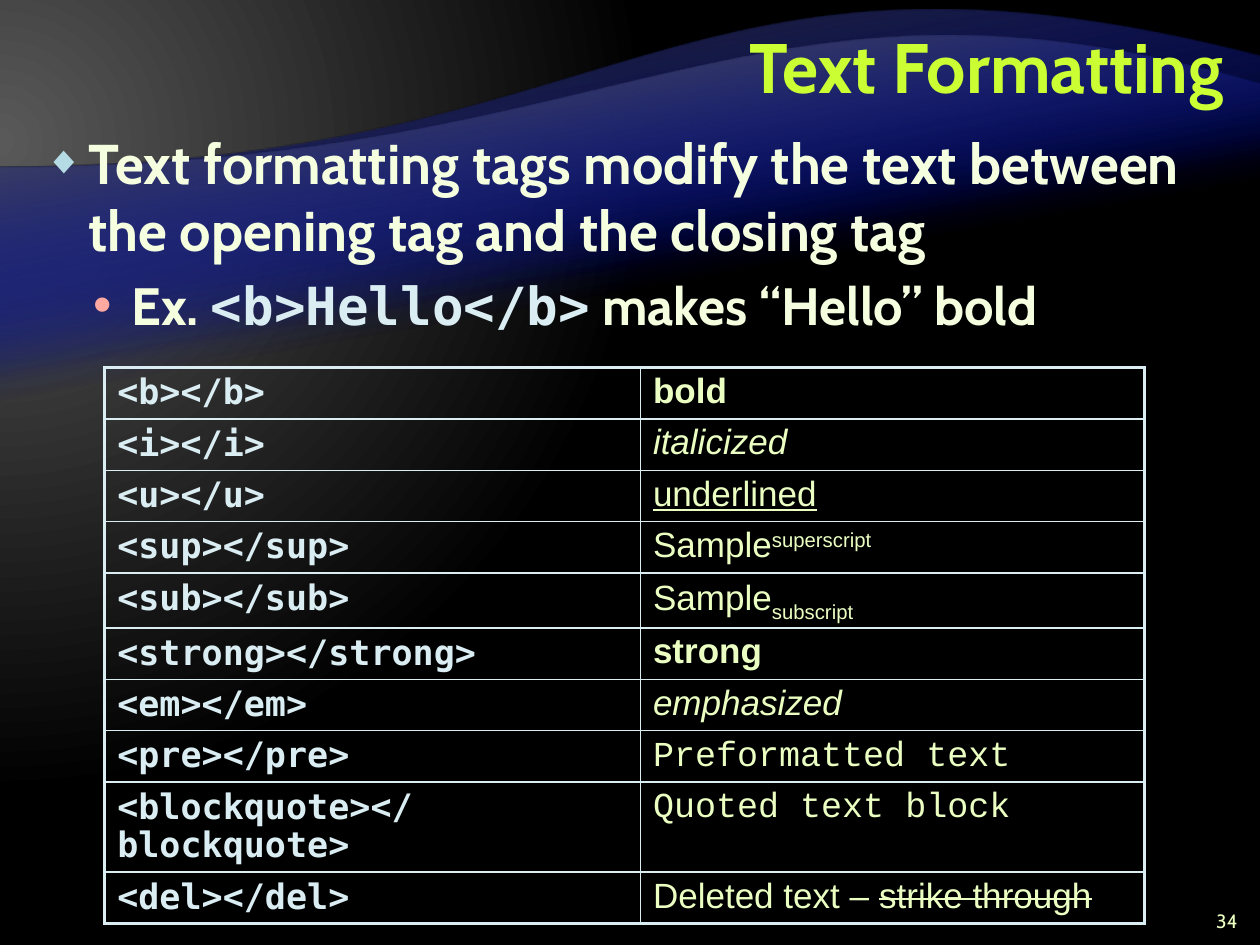
from lxml.etree import SubElement
from pptx import Presentation
from pptx.dml.color import RGBColor
from pptx.enum.text import MSO_ANCHOR, MSO_AUTO_SIZE, PP_ALIGN
from pptx.oxml import parse_xml
from pptx.oxml.ns import nsdecls, qn
from pptx.util import Cm, Pt

# Content
TITLE = "Text Formatting"
INTRO = "Text formatting tags modify the text between the opening tag and the closing tag"
EXAMPLE = ("Ex. ", "<b>Hello</b>", " makes “Hello” bold")
PAGE = "34"
COURIER = {"font": "Courier New"}
ROWS = [  # tag, then the runs of its sample with their format
    ("b", [("bold", {"bold": True})]),
    ("i", [("italicized", {"italic": True})]),
    ("u", [("underlined", {"underline": True})]),
    ("sup", [("Sample", {}), ("superscript", {"baseline": 30})]),
    ("sub", [("Sample", {}), ("subscript", {"baseline": -25})]),
    ("strong", [("strong", {"bold": True})]),
    ("em", [("emphasized", {"italic": True})]),
    ("pre", [("Preformatted text", COURIER)]),
    ("blockquote", [("Quoted text block", COURIER)]),
    ("del", [("Deleted text – ", {}), ("strike through", {"strike": True})]),
]

# Look
MONO, CABIN = "DejaVu Sans Mono", "Cabin"
LIME, CREAM, ICE, PALE = "CCFF33", "F5FFE0", "DAEDF2", "EBFFC2"
THIN, THICK = 1, 2.25
ROW_HEIGHT, TALL_ROWS = 1.03, {"sub": 1.11, "blockquote": 1.81}
WIDTH, HEIGHT = 25.4, 19.05

# Waves in cm: bottom, the four Bezier points of the crest, crest colour
WAVES = [
    (16.59, [(0, 3.38), (12.7, 3.38), (13.56, -1.9), (WIDTH, 1.14)], "262626"),
    (14.15, [(0, 3.38), (12.7, 3.38), (15.19, -1.24), (WIDTH, 1.7)], "595959"),
]


def rgb(color):
    return RGBColor.from_string(color)


def add_run(p, text, size=20, font="Arial", color=PALE, bold=False,
            italic=False, underline=False, strike=False, baseline=0):
    r = p.add_run()
    r.text = text
    f = r.font
    f.size, f.name, f.bold, f.italic, f.underline = Pt(size), font, bold, italic, underline
    f.color.rgb = rgb(color)
    if strike:
        f._element.set("strike", "sngStrike")
    if baseline:
        f._element.set("baseline", str(baseline * 1000))


def set_gradient(fill, element, stops, direction):
    """Fill with (position %, colour, opacity %) stops."""
    fill.background()
    gs = "".join(
        f'<a:gs pos="{pos * 1000}"><a:srgbClr val="{color}">'
        f'<a:alpha val="{alpha * 1000}"/></a:srgbClr></a:gs>'
        for pos, color, alpha in stops)
    empty = next(element.iter(qn("a:noFill")))
    empty.getparent().replace(empty, parse_xml(
        f'<a:gradFill {nsdecls("a")} rotWithShape="1"><a:gsLst>{gs}</a:gsLst>'
        f'{direction}</a:gradFill>'))


def add_wave(s, bottom, crest, color):
    """Draw the wave upside down, then turn it by 180 degrees."""
    top = crest[-1][1]
    corners = [crest[0], crest[-1], (WIDTH, bottom), (0, bottom)]
    turned = [(Cm(WIDTH - x), Cm(top + bottom - y)) for x, y in corners]
    builder = s.shapes.build_freeform(*turned[0])
    builder.add_line_segments(turned[1:], close=True)
    sp = builder.convert_to_shape()
    sp.rotation = 180
    sp.shadow.inherit = False

    # The first side becomes the curved crest
    side = next(sp._element.iter(qn("a:lnTo")))
    curve = SubElement(side.getparent(), qn("a:cubicBezTo"))
    for x, y in crest[1:]:
        pt = SubElement(curve, qn("a:pt"))
        pt.set("x", str(Cm(WIDTH - x)))
        pt.set("y", str(Cm(bottom - y)))
    side.getparent().replace(side, curve)

    set_gradient(sp.fill, sp._element, [(65, "000D9E", 0), (100, color, 100)],
                 f'<a:lin ang="{80 * 60000}" scaled="0"/>')
    sp.line.fill.background()


def place(sp, left, top, width, height):
    sp.left, sp.top, sp.width, sp.height = map(Cm, (left, top, width, height))
    tf = sp.text_frame
    tf.word_wrap, tf.auto_size = True, MSO_AUTO_SIZE.NONE
    return tf


def add_text_box(s, *box):
    return place(s.shapes.add_textbox(0, 0, 0, 0), *box)


def set_bullet(p, char, color, indent, hang, percent=100):
    pPr = p._p.get_or_add_pPr()
    pPr.set("marL", str(Cm(indent)))
    pPr.set("indent", str(-Cm(hang)))
    SubElement(SubElement(pPr, qn("a:buClr")), qn("a:srgbClr")).set("val", color)
    SubElement(pPr, qn("a:buSzPct")).set("val", str(percent * 1000))
    SubElement(pPr, qn("a:buFont")).set("typeface", "Arial")
    SubElement(pPr, qn("a:buChar")).set("char", char)


def set_borders(cell, widths):
    tcPr = cell._tc.get_or_add_tcPr()
    for i, (side, width) in enumerate(zip("LRTB", widths)):
        tcPr.insert(i, parse_xml(
            f'<a:ln{side} {nsdecls("a")} w="{Pt(width)}"><a:solidFill>'
            f'<a:srgbClr val="{ICE}"/></a:solidFill></a:ln{side}>'))


def add_tag_table(s):
    frame = s.shapes.add_table(len(ROWS), 2, Cm(2.11), Cm(7.41), Cm(20.96), Cm(11.16))
    table = frame.table
    table.first_row = table.horz_banding = False
    for column, width in zip(table.columns, (10.8, 10.16)):
        column.width = Cm(width)
    for i, (tag, sample) in enumerate(ROWS):
        table.rows[i].height = Cm(TALL_ROWS.get(tag, ROW_HEIGHT))
        tag_run = (f"<{tag}></{tag}>", {"font": MONO, "color": ICE, "bold": True})
        for j, runs in enumerate(([tag_run], sample)):
            cell = table.cell(i, j)
            cell.fill.background()
            outer = (j == 0, j == 1, i == 0, i == len(ROWS) - 1)
            set_borders(cell, [THICK if edge else THIN for edge in outer])
            p = cell.text_frame.paragraphs[0]
            p.line_spacing = 0.95
            for text, style in runs:
                add_run(p, text, **style)


def main():
    prs = Presentation()
    prs.slide_width, prs.slide_height = Cm(WIDTH), Cm(HEIGHT)
    s = prs.slides.add_slide(prs.slide_layouts[5])

    # Background: glow at the left and two waves, each laid twice
    set_gradient(s.background.fill, s._element,
                 [(0, "595959", 100), (83, "000000", 100)],
                 '<a:path path="circle"><a:fillToRect l="20000" t="30000" '
                 'r="135000" b="100000"/></a:path>')
    for wave in WAVES * 2:
        add_wave(s, *wave)

    # Title, brought in front of the waves
    title = s.shapes.title
    s.shapes._spTree.append(title._element)
    tf = place(title, 6.71, 0.2, 18.21, 2.51)
    tf.vertical_anchor = MSO_ANCHOR.MIDDLE
    p = tf.paragraphs[0]
    p.alignment, p.line_spacing = PP_ALIGN.RIGHT, Pt(40)
    add_run(p, TITLE, size=40, font=CABIN, color=LIME, bold=True)

    # Explanation and example
    tf = add_text_box(s, 0.64, 2.46, 24.13, 15.95)
    p = tf.paragraphs[0]
    set_bullet(p, "◆", "B5DBE5", 0.89, 0.89, percent=70)
    add_run(p, INTRO, size=32, font=CABIN, color=CREAM, bold=True)
    p = tf.add_paragraph()
    p.level, p.space_before = 1, Pt(6)
    set_bullet(p, "•", "FFA9A0", 1.76, 0.76)
    for text, font, color in zip(EXAMPLE, (CABIN, MONO, CABIN), (CREAM, ICE, CREAM)):
        add_run(p, text, size=30, font=font, color=color, bold=True)

    add_tag_table(s)

    # Slide number
    tf = add_text_box(s, 23.93, 18.21, 1.27, 0.64)
    p = tf.paragraphs[0]
    p.alignment = PP_ALIGN.RIGHT
    add_run(p, PAGE, size=11, font=CABIN)

    prs.save("out.pptx")


if __name__ == "__main__":
    main()
